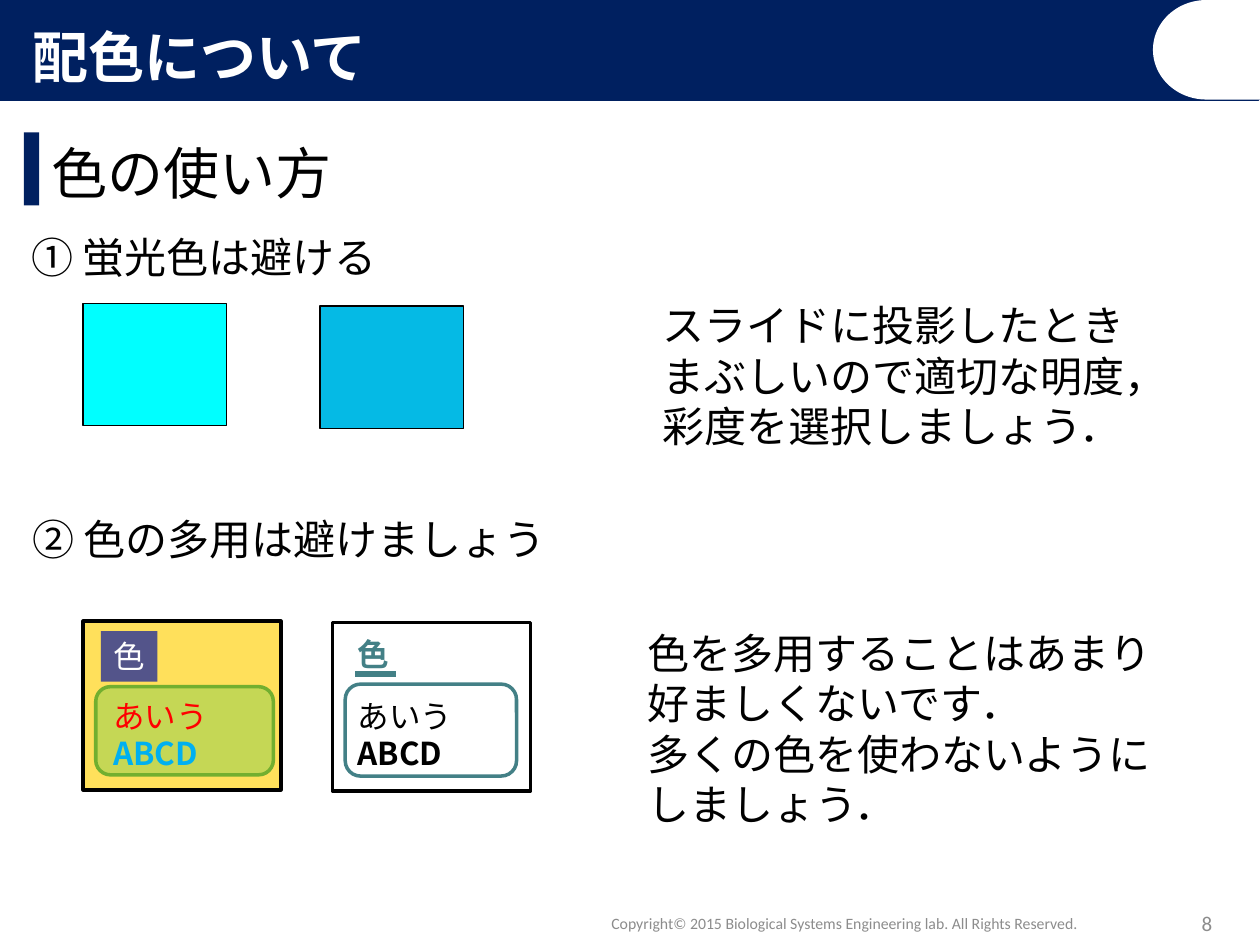
from lxml.etree import SubElement
from pptx import Presentation
from pptx.dml.color import RGBColor
from pptx.enum.shapes import MSO_CONNECTOR, MSO_SHAPE
from pptx.enum.text import MSO_ANCHOR, PP_ALIGN
from pptx.oxml.ns import qn
from pptx.util import Inches, Pt

COLORS = {
    "navy": "002060", "white": "FFFFFF", "black": "000000",
    "cyan": "00FFFF", "calm blue": "05BAE5", "yellow": "FFE05B",
    "lime": "92D050", "green": "72AF2F", "indigo": "53548A", "teal": "438086",
    "red": "FF0000", "sky": "00B0F0", "gray": "8C8C8C",
}
COLUMNS, ROWS = 100, 75
SLIDE_WIDTH, SLIDE_HEIGHT = Inches(10), Inches(7.5)
JAPANESE = "Noto Sans CJK JP"
LINE_PITCH = 1.2  # line height as a share of the text size


def color(name):
    return RGBColor.from_string(COLORS[name])


def across(columns):
    return round(SLIDE_WIDTH * columns / COLUMNS)


def down(rows):
    return round(SLIDE_HEIGHT * rows / ROWS)


def place(box, left, top, width, height):
    """Grid box inside a region, as left, top, width and height in EMU."""
    return (across(box[0] + left), down(box[1] + top), across(width), down(height))


def set_line(line, name, width):
    line.color.rgb = color(name)
    line.width = Pt(width)


def add_block(slide, position, fill=None, line=None, width=2,
              kind=MSO_SHAPE.RECTANGLE, opacity=None):
    shape = slide.shapes.add_shape(kind, *position)
    shape.shadow.inherit = False
    if fill:
        shape.fill.solid()
        shape.fill.fore_color.rgb = color(fill)
    else:
        shape.fill.background()
    if opacity:
        fill_color = shape.fill._xPr.find(".//" + qn("a:srgbClr"))
        SubElement(fill_color, qn("a:alpha"), val=str(opacity * 1000))
    if line:
        set_line(shape.line, line, width)
    else:
        shape.line.fill.background()
    return shape


def write(shape, lines, size, font=JAPANESE, align=PP_ALIGN.LEFT,
          anchor=MSO_ANCHOR.TOP, wrap=True):
    """Fill a shape with paragraphs given as (text, colour, bold)."""
    frame = shape.text_frame
    for name, value in {"word_wrap": wrap, "vertical_anchor": anchor}.items():
        setattr(frame, name, value)
    for index, (text, color_name, bold) in enumerate(lines):
        paragraph = frame.add_paragraph() if index else frame.paragraphs[0]
        paragraph.alignment = align
        if font == JAPANESE:
            paragraph.line_spacing = Pt(LINE_PITCH * size)
        run = paragraph.add_run()
        run.text = text
        for name, value in {"name": font, "size": Pt(size), "bold": bold}.items():
            setattr(run.font, name, value)
        run.font.color.rgb = color(color_name)
        SubElement(run._r.get_or_add_rPr(), qn("a:ea"), typeface=font)


def add_text(slide, position, lines, size, **options):
    write(slide.shapes.add_textbox(*position), lines, size, **options)


def add_header(slide, box):
    add_block(slide, place(box, 0, 0, 99.9, box[3]), "navy", "navy")
    # Plain corner shape, rounded on its left side
    corner = add_block(slide, place(box, 91.5, 0, 8.5, box[3]), "white",
                       kind=MSO_SHAPE.FLOWCHART_DELAY)
    corner.rotation = 180
    add_text(slide, place(box, 1.6, 1.3, 78, 6.4), [("配色について", "white", True)], 32)


def add_section_heading(slide, box, text):
    add_block(slide, place(box, 0, 0, 1.2, 5.8), "navy")
    add_text(slide, place(box, 1.2, 0, box[2], box[3]), [(text, "black", False)], 32)


def add_topic(slide, box, heading, note_offset, note_width, note):
    """Numbered heading with an explanation on the right."""
    add_text(slide, place(box, 0, 0, 47.7, 5), [(heading, "black", False)], 24)
    add_text(slide, place(box, *note_offset, note_width, 17.2),
             [(text, "black", False) for text in note], 24)


def add_swatches(slide, box):
    for index, fill in enumerate(("cyan", "calm blue")):
        add_block(slide, place(box, 18.8 * index, 0.2 * index, 11.4, box[3]),
                  fill, "black", 0.75)


def add_card(slide, box, panel, title_at, text_at, fill, panel_fill, panel_line,
             opacity, title_fill, title, lines):
    """Miniature slide: title, rounded panel and two lines of sample text."""
    add_block(slide, place(box, 0, 0, box[2], box[3]), fill, "black")
    add_block(slide, place(box, *panel), panel_fill, panel_line,
              kind=MSO_SHAPE.ROUNDED_RECTANGLE, opacity=opacity)
    title_block = add_block(slide, place(box, *title_at, 4.5, 4), title_fill)
    write(title_block, [title], 18, wrap=False)
    add_text(slide, place(box, *text_at, 9.6, 7.1), lines, 18, wrap=False)


def add_underline(slide, box):
    left, top, width, _ = place(box, 0, 0, box[2], 0)
    connector = slide.shapes.add_connector(
        MSO_CONNECTOR.STRAIGHT, left, top, left + width, top)
    set_line(connector.line, "teal", 3)
    SubElement(connector._element.spPr, qn("a:effectLst"))


def add_footer(slide, box):
    parts = [
        (36.5, 23.3, "8", 12, PP_ALIGN.RIGHT),
        (0, 59.2, "Copyright© 2015 Biological Systems Engineering lab. "
                  "All Rights Reserved.", 9, PP_ALIGN.CENTER),
    ]
    for left, width, text, size, align in parts:
        add_text(slide, place(box, left, 0, width, box[3]), [(text, "gray", False)],
                 size, font="Calibri", align=align, anchor=MSO_ANCHOR.MIDDLE)


def main():
    presentation = Presentation()
    presentation.slide_width, presentation.slide_height = SLIDE_WIDTH, SLIDE_HEIGHT
    slide = presentation.slides.add_slide(presentation.slide_layouts[6])

    add_header(slide, (0, 0, 100, 7.9))
    add_section_heading(slide, (1.9, 10.5, 37.7, 6.4), "色の使い方")

    # Topic 1: fluorescent colours
    add_topic(slide, (1.5, 17.9), "① 蛍光色は避ける", (50.1, 5.4), 39.8,
              ["スライドに投影したときまぶしいので適切な明度，彩度を選択しましょう．"])
    add_swatches(slide, (6.6, 24.1, 30.2, 9.7))

    # Topic 2: too many colours, bad and good example
    add_topic(slide, (1.6, 40.3), "② 色の多用は避けましょう", (48.8, 9), 42.1,
              ["色を多用することはあまり好ましくないです．",
               "多くの色を使わないようにしましょう．"])
    add_card(slide, (6.6, 49.3, 15.7, 13.4), (1, 5.2, 14.1, 7), (1.4, 0.8), (1.4, 5.5),
             "yellow", "lime", "green", 53, "indigo", ("色", "white", False),
             [("あいう", "red", False), ("ABCD", "sky", True)])
    add_card(slide, (26.4, 49.4, 15.7, 13.4), (1, 4.9, 13.6, 7.3), (1, 0.5), (1, 5.4),
             None, "white", "teal", None, None, ("色", "teal", True),
             [("あいう", "black", False), ("ABCD", "black", True)])
    add_underline(slide, (28.2, 53.5, 3.2, 0))

    add_footer(slide, (37.4, 71.3, 59.8, 4))
    presentation.save("out.pptx")


if __name__ == "__main__":
    main()
